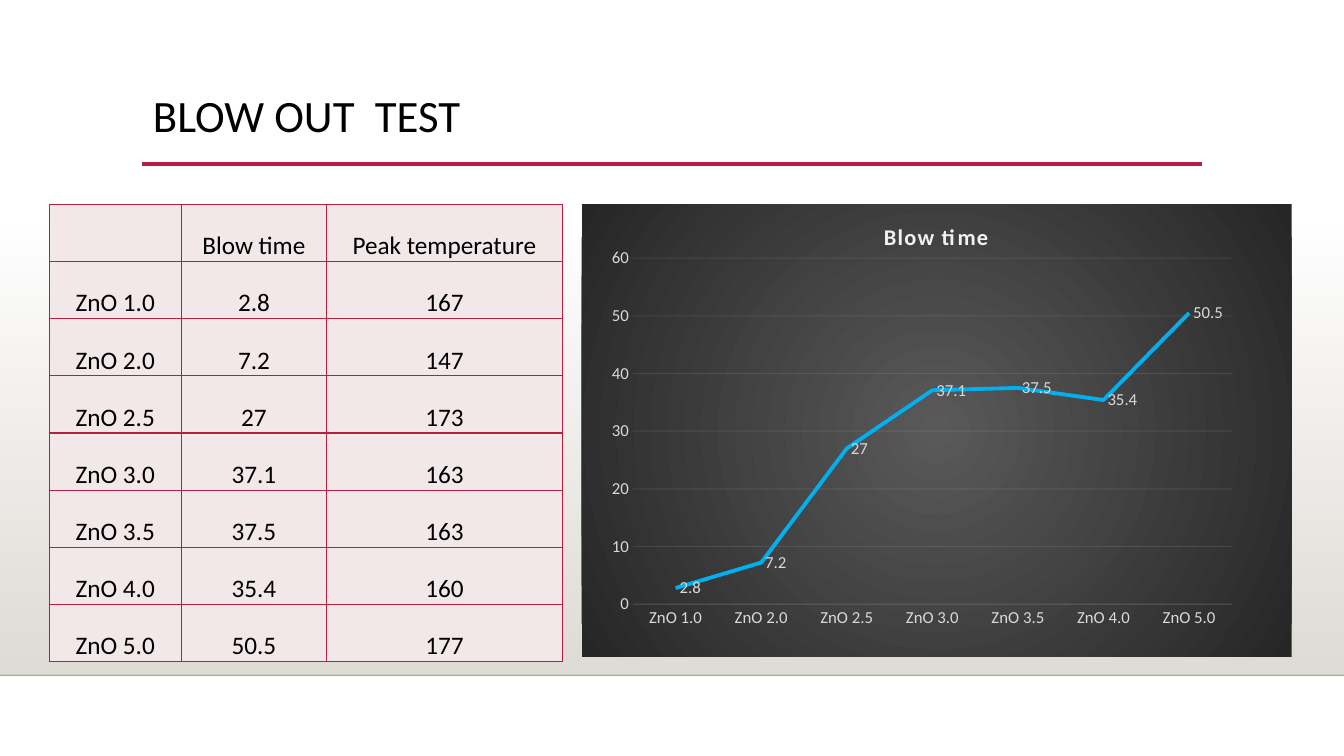
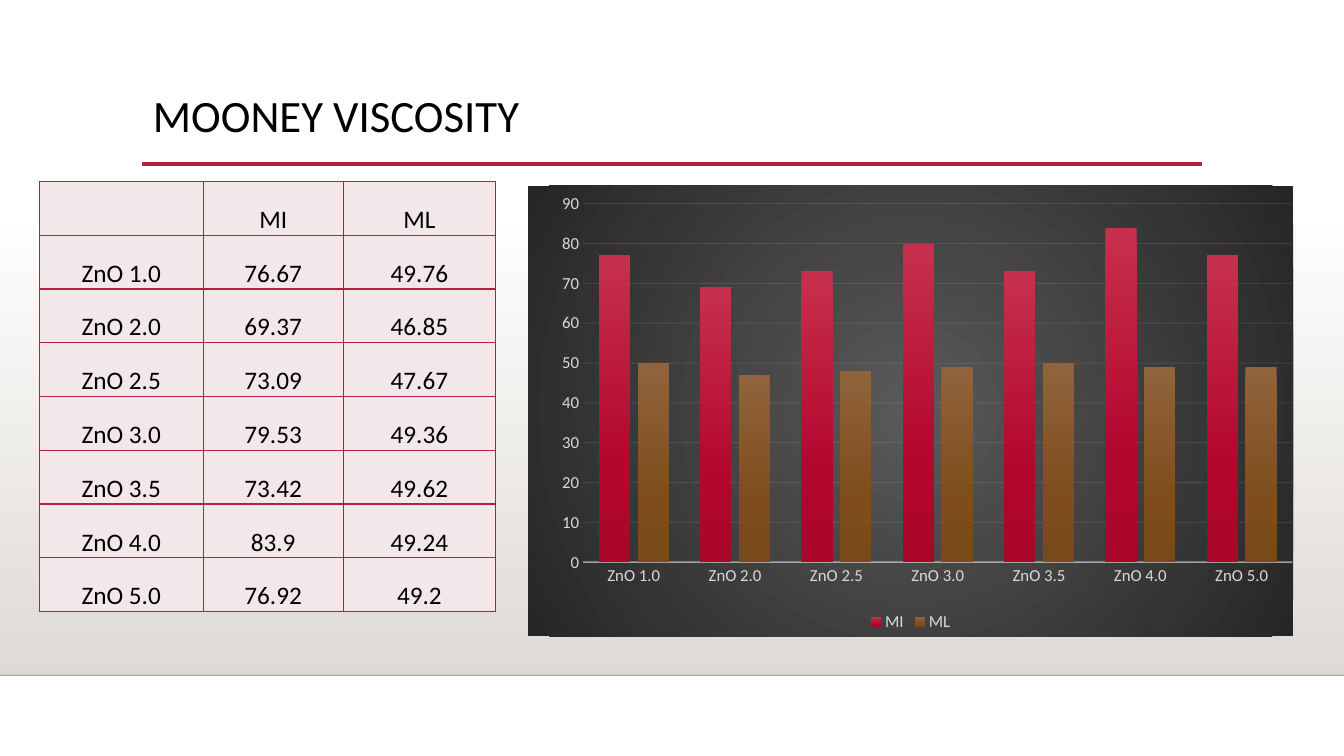
"""Build two slides on rubber tests, each with a results table and a chart."""
from dataclasses import dataclass

from lxml.etree import SubElement
from pptx import Presentation
from pptx.chart.data import CategoryChartData
from pptx.dml.color import RGBColor
from pptx.enum.chart import XL_CHART_TYPE, XL_LABEL_POSITION, XL_LEGEND_POSITION, XL_TICK_MARK
from pptx.enum.shapes import MSO_CONNECTOR, MSO_SHAPE
from pptx.enum.text import MSO_ANCHOR, PP_ALIGN
from pptx.oxml import parse_xml
from pptx.oxml.ns import nsdecls, qn
from pptx.util import Cm, Pt


@dataclass(frozen=True)
class Theme:
    font: str = "Calibri"
    ink: str = "000000"
    accent: str = "B71E42"
    horizon: str = "000001"
    cell: str = "F3E8E9"
    chart_text: str = "D9D9D9"
    chart_line: str = "F2F2F2"
    curve: str = "00B0F0"
    chart_glow: tuple = ((0, "595959", 100), (100, "262626", 100))
    band: tuple = ((0, "DFDBD5", 0), (100, "DFDBD5", 100))
    bars: tuple = (
        ((0, "C7304C", 100), (69, "B3062F", 100), (100, "AA062C", 100)),
        ((0, "91633C", 100), (69, "7E4D1B", 100), (100, "784919", 100)),
    )
    title_size: int = 32
    table_size: int = 18
    heading_size: int = 16
    chart_size: int = 12


THEME = Theme()
SLIDE_WIDTH, SLIDE_HEIGHT = 33.87, 19.05
HORIZON = 17.02
COMPOUNDS = [f"ZnO {dose}" for dose in ("1.0", "2.0", "2.5", "3.0", "3.5", "4.0", "5.0")]
BLOW_OUT = {
    "Blow time": (2.8, 7.2, 27, 37.1, 37.5, 35.4, 50.5),
    "Peak temperature": (167, 147, 173, 163, 163, 160, 177),
}
MOONEY = {
    "MI": (76.67, 69.37, 73.09, 79.53, 73.42, 83.9, 76.92),
    "ML": (49.76, 46.85, 47.67, 49.36, 49.62, 49.24, 49.2),
}


def rgb(code):
    return RGBColor.from_string(code)


def style_font(font, size, colour):
    font.name, font.size = THEME.font, Pt(size)
    font.color.rgb = rgb(colour)


def style_line(line, colour, width, opacity=100):
    line.color.rgb = rgb(colour)
    line.width = Pt(width)
    if opacity < 100:
        tint = line._get_or_add_ln().find(".//" + qn("a:srgbClr"))
        SubElement(tint, qn("a:alpha")).set("val", str(opacity * 1000))


def gradient(stops, radial=False):
    marks = "".join(
        f'<a:gs pos="{at * 1000}"><a:srgbClr val="{colour}">'
        f'<a:alpha val="{opacity * 1000}"/></a:srgbClr></a:gs>'
        for at, colour, opacity in stops
    )
    course = '<a:lin ang="5400000" scaled="0"/>'
    if radial:
        course = ('<a:path path="circle"><a:fillToRect l="50000" t="50000" '
                  'r="50000" b="50000"/></a:path>')
    return parse_xml(f'<a:gradFill {nsdecls("a")}><a:gsLst>{marks}</a:gsLst>{course}</a:gradFill>')


def add_rule(shapes, left, right, y, colour, width, opacity=100):
    rule = shapes.add_connector(MSO_CONNECTOR.STRAIGHT, Cm(left), Cm(y), Cm(right), Cm(y))
    style_line(rule.line, colour, width, opacity)
    SubElement(rule._element.spPr, qn("a:effectLst"))
    return rule


def add_band(shapes):
    top = 5.61
    band = shapes.add_shape(MSO_SHAPE.RECTANGLE, 0, Cm(top), Cm(SLIDE_WIDTH), Cm(HORIZON - top))
    band.shadow.inherit = False
    band.line.fill.background()
    band._element.spPr.find(qn("a:prstGeom")).addnext(gradient(THEME.band))
    return band


def dress_layout(layout, slide):
    """Draw the shared backdrop with the slide's shapes, then move it to the layout."""
    backdrop = (
        add_band(slide.shapes),
        add_rule(slide.shapes, 0, SLIDE_WIDTH, HORIZON, THEME.horizon, 1, 20),
        add_rule(slide.shapes, 3.58, 30.28, 4.13, THEME.accent, 2.5),
    )
    for position, part in enumerate(backdrop, start=2):
        layout.shapes.element.insert(position, part._element)
    heading = layout.placeholders[0]
    heading.left, heading.top, heading.width, heading.height = Cm(3.6), Cm(2.24), Cm(26.67), Cm(2.92)


def add_title(slide, text):
    frame = slide.shapes.title.text_frame
    frame.vertical_anchor = MSO_ANCHOR.TOP
    line = frame.paragraphs[0]
    line.alignment, line.line_spacing = PP_ALIGN.LEFT, 0.9
    run = line.add_run()
    run.text = text
    style_font(run.font, THEME.title_size, THEME.ink)


def fill_cell(cell, text):
    properties = cell._tc.get_or_add_tcPr()
    for side in "LRTB":
        properties.append(parse_xml(
            f'<a:ln{side} {nsdecls("a")} w="12700"><a:solidFill>'
            f'<a:srgbClr val="{THEME.accent}"/></a:solidFill></a:ln{side}>'))
    cell.fill.solid()
    cell.fill.fore_color.rgb = rgb(THEME.cell)
    cell.vertical_anchor = MSO_ANCHOR.BOTTOM
    cell.margin_left = cell.margin_right = cell.margin_top = Cm(0.03)
    cell.margin_bottom = 0
    if text:
        line = cell.text_frame.paragraphs[0]
        line.alignment = PP_ALIGN.CENTER
        run = line.add_run()
        run.text = text
        style_font(run.font, THEME.table_size, THEME.ink)


def add_results(slide, results, left, top, widths, height):
    rows = [("", *results)]
    rows += [(name, *(f"{value:g}" for value in values))
             for name, *values in zip(COMPOUNDS, *results.values())]
    table = slide.shapes.add_table(len(rows), len(widths), Cm(left), Cm(top),
                                   Cm(sum(widths)), Cm(height)).table
    table.first_row = table.horz_banding = False
    for column, width in zip(table.columns, widths):
        column.width = Cm(width)
    for row, texts in zip(table.rows, rows):
        row.height = Cm(height / len(rows))
        for cell, text in zip(row.cells, texts):
            fill_cell(cell, text)


def set_layout(parent, index, target="", **fractions):
    """Give a chart part a manual place, in fractions of the chart."""
    for automatic in parent.findall(qn("c:layout")):
        parent.remove(automatic)
    modes = "".join(f'<c:{key}Mode val="edge"/>' for key in "xy")
    sizes = "".join(f'<c:{key} val="{value}"/>' for key, value in fractions.items())
    parent.insert(index, parse_xml(
        f'<c:layout {nsdecls("c")}><c:manualLayout>{target}{modes}{sizes}'
        '</c:manualLayout></c:layout>'))


def style_axes(chart, top_value, base_width, base_opacity):
    for axis in (chart.category_axis, chart.value_axis):
        axis.major_tick_mark = axis.minor_tick_mark = XL_TICK_MARK.NONE
        style_font(axis.tick_labels.font, THEME.chart_size, THEME.chart_text)
    style_line(chart.category_axis.format.line, THEME.chart_line, base_width, base_opacity)
    scale = chart.value_axis
    scale.minimum_scale, scale.maximum_scale, scale.major_unit = 0, top_value, 10
    scale.format.line.fill.background()
    scale.has_major_gridlines = True
    style_line(scale.major_gridlines.format.line, THEME.chart_line, 0.75, 10)


def add_dark_chart(slide, kind, results, place, plot_place):
    source = CategoryChartData()
    source.categories = COMPOUNDS
    for name, values in results.items():
        source.add_series(name, values)
    chart = slide.shapes.add_chart(kind, *map(Cm, place), source).chart
    style_font(chart.font, THEME.chart_size, THEME.chart_text)
    chart.has_title = chart.has_legend = False
    backdrop = parse_xml(f'<c:spPr {nsdecls("c", "a")}><a:ln><a:noFill/></a:ln></c:spPr>')
    backdrop.insert(0, gradient(THEME.chart_glow, radial=True))
    body = chart.element.find(qn("c:chart"))
    body.addnext(backdrop)
    set_layout(body.find(qn("c:plotArea")), 0, '<c:layoutTarget val="inner"/>',
               **dict(zip("xywh", plot_place)))
    chart.plots[0].vary_by_categories = False
    return chart


def add_chart_heading(chart, text):
    chart.has_title = True
    run = chart.chart_title.text_frame.paragraphs[0].add_run()
    run.text = text
    style_font(run.font, THEME.heading_size, THEME.chart_line)
    run.font.bold = True
    run._r.get_or_add_rPr().set("spc", "100")
    set_layout(chart.element.find(".//" + qn("c:title")), 1, x=0.42, y=0.03)


def add_blow_curve(slide):
    name = "Blow time"
    chart = add_dark_chart(slide, XL_CHART_TYPE.LINE, {name: BLOW_OUT[name]},
                           (14.66, 5.15, 17.89, 11.4), (0.072, 0.119, 0.844, 0.765))
    style_axes(chart, 60, 0.75, 10)
    add_chart_heading(chart, name)
    curve = chart.plots[0].series[0]
    curve.smooth = False
    style_line(curve.format.line, THEME.curve, 2.75)
    labels = curve.data_labels
    labels.show_value = True
    labels.position = XL_LABEL_POSITION.RIGHT
    style_font(labels.font, THEME.chart_size, THEME.chart_text)


def add_mooney_bars(slide):
    rounded = {name: [round(value) for value in values] for name, values in MOONEY.items()}
    chart = add_dark_chart(slide, XL_CHART_TYPE.COLUMN_CLUSTERED, rounded,
                           (13.31, 4.68, 19.28, 11.35), (0.072, 0.04, 0.927, 0.796))
    style_axes(chart, 90, 1, 54)
    chart.has_legend = True
    chart.legend.position = XL_LEGEND_POSITION.BOTTOM
    chart.legend.include_in_layout = False
    style_font(chart.legend.font, THEME.chart_size, THEME.chart_text)
    bars = chart.plots[0]
    bars.gap_width, bars.overlap = 100, -24
    for series, stops in zip(bars.series, THEME.bars):
        series.invert_if_negative = False
        series._element.get_or_add_spPr().insert(0, gradient(stops))


def main():
    deck = Presentation()
    deck.slide_width, deck.slide_height = Cm(SLIDE_WIDTH), Cm(SLIDE_HEIGHT)
    layout = deck.slide_layouts[5]
    blow_out, mooney = (deck.slides.add_slide(layout) for _ in range(2))
    dress_layout(layout, blow_out)

    add_title(blow_out, "BLOW OUT  TEST")
    add_results(blow_out, BLOW_OUT, 1.24, 5.15, (3.33, 3.66, 5.94), 11.52)
    add_blow_curve(blow_out)

    add_title(mooney, "MOONEY VISCOSITY")
    add_results(mooney, MOONEY, 0.99, 4.57, (4.13, 3.53, 3.84), 10.84)
    add_mooney_bars(mooney)

    deck.save("out.pptx")


if __name__ == "__main__":
    main()
